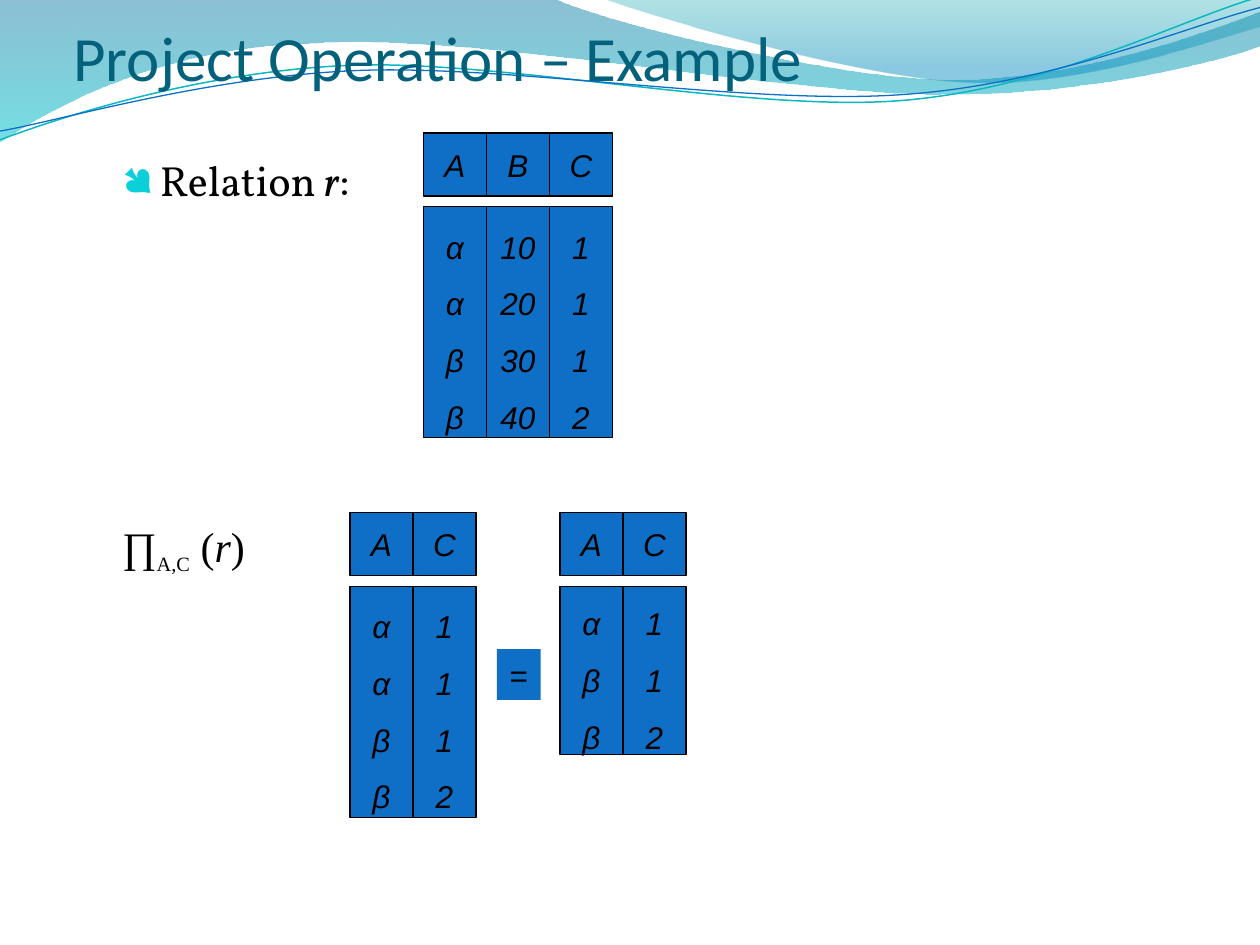
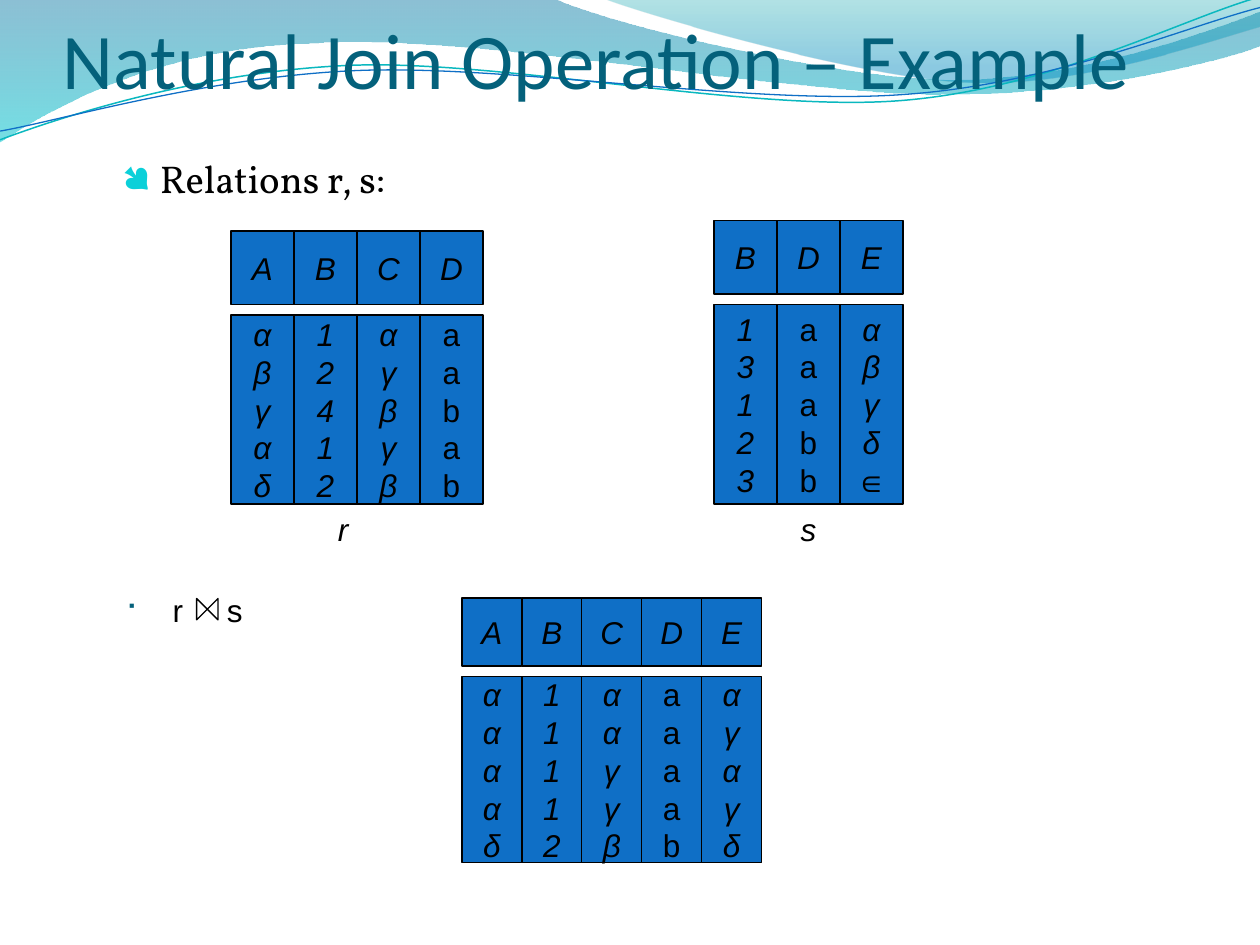
from pptx import Presentation
from pptx.dml.color import RGBColor
from pptx.enum.shapes import MSO_SHAPE as SHAPE
from pptx.enum.text import MSO_ANCHOR as ANCHOR, PP_ALIGN as ALIGN
from pptx.oxml import parse_xml
from pptx.oxml.ns import nsdecls, qn
from pptx.util import Pt

BLACK, BLUE, TEAL, AQUA, CYAN = "000000", "0F6FC6", "04617B", "0AB8BF", "0BD0D9"
GAP = 6  # between header cells and column cells
UPRIGHT = {"D"}  # columns not set in italics

# Relations: attribute -> values from top to bottom
RELATION = {"A": "α α β β", "B": "10 20 30 40", "C": "1 1 1 2"}
PROJECTED = {"A": "α α β β", "C": "1 1 1 2"}
DISTINCT = {"A": "α β β", "C": "1 1 2"}
R = {"A": "α β γ α δ", "B": "1 2 4 1 2", "C": "α γ β γ β", "D": "a a b a b"}
S = {"B": "1 3 1 2 3", "D": "a a a b b", "E": "α β γ δ ∈"}
JOINED = {"A": "α α α α δ", "B": "1 1 1 1 2", "C": "α α γ γ β",
          "D": "a a a a b", "E": "α γ α γ δ"}

# Slide content; relations: columns, left, top, column width, header and body height
PROJECT = {
    "title": ("Project Operation – Example", 36, (42, 12, 612, 42)),
    "intro": ([("Relation", {}), (" r", {"italic": True}), (":", {})], 24.1),
    "spacing": 1.5,
    "relations": [(RELATION, 242, 76, 36, 36, 132),
                  (PROJECTED, 200, 293, 36, 36, 132),
                  (DISTINCT, 320, 293, 36, 36, 96)],
}
JOIN = {
    "title": ("Natural Join Operation – Example", 45, (36, -30, 648, 90)),
    "intro": ([("Relations r, s:", {})], 22.1),
    "spacing": 1,
    "relations": [(R, 132, 132, 36, 42, 108),
                  (S, 408, 126, 36, 42, 114),
                  (JOINED, 264, 341.7, 34.25, 39, 106.3)],
}

# Header waves: start, then pairs for lines and sextuples for curves
BANDS = [
    ([(0, 0), (316.8, -0.7), (342.7, 12.2, 478.1, 45.4, 545.8, 45.4),
      (614.2, 45.4, 689.8, 18.7, 720, 6.5), (720.7, 25.9),
      (707.8, 31.7, 626.4, 54.7, 537.1, 54), (447.8, 54, 275, 20.2, 185, 24.5),
      (92.9, 25.9, 33.1, 59.8, -0.7, 81.4)],
     [(0, "0074A1", 45), (100, "00C6CF", 55)]),
    ([(344.9, -0.7), (366.5, 7.9, 491, 44.6, 553.7, 46.8),
      (616.3, 49.7, 691.9, 23, 720, 15.1), (720, 0)],
     [(0, "00A1A9", 30), (80, "008BBF", 45)]),
]
CURVES = [
    ([(0, 79.9), (34.6, 67, 113.8, 41, 199.4, 37.4),
      (284.4, 33.8, 427, 64.1, 513.4, 57.6),
      (599.8, 51.1, 675.4, 10.8, 718.6, -1.4)], AQUA, 0.85),
    ([(0, 74.9), (33.8, 69.1, 118.1, 43.9, 203.8, 40.3),
      (290.2, 36.7, 429.8, 60.5, 516.2, 54),
      (601.9, 48.2, 677.5, 15.1, 720, 4.3)], BLUE, 0.75),
]


def rgb(value):
    return RGBColor.from_string(value)


def set_font(font, name, size, color=BLACK, italic=False):
    font.name, font.size, font.italic = name, Pt(size), italic
    font.color.rgb = rgb(color)


def add_wave(s, steps, close):
    """Build the outline from its end points, then bend the curved segments."""
    ends = [(Pt(step[-2]), Pt(step[-1])) for step in steps]
    builder = s.shapes.build_freeform(*ends[0])
    builder.add_line_segments(ends[1:], close=close)
    sp = builder.convert_to_shape()
    sp.shadow.inherit = False
    segments = list(sp._element.iter(qn("a:lnTo")))
    for step, segment in zip(steps[1:], segments):
        if len(step) == 6:
            points = "".join(
                f'<a:pt x="{Pt(x) - sp.left}" y="{Pt(y) - sp.top}"/>'
                for x, y in zip(step[::2], step[1::2]))
            curve = parse_xml(f'<a:cubicBezTo {nsdecls("a")}>{points}</a:cubicBezTo>')
            segment.getparent().replace(segment, curve)
    return sp


def add_waves(s):
    """Draw the waves, then hand them to the layout that all slides share."""
    waves = []
    for steps, stops in BANDS:
        sp = add_wave(s, steps, True)
        sp.line.fill.background()
        gs = "".join(f'<a:gs pos="{pos * 1000}"><a:srgbClr val="{color}">'
                     f'<a:alpha val="{alpha * 1000}"/></a:srgbClr></a:gs>'
                     for pos, color, alpha in stops)
        grad = parse_xml(f'<a:gradFill {nsdecls("a")}><a:gsLst>{gs}</a:gsLst>'
                         '<a:lin ang="5400000" scaled="0"/></a:gradFill>')
        sp._element.spPr.find(qn("a:custGeom")).addnext(grad)
        waves.append(sp)
    for steps, color, width in CURVES:
        sp = add_wave(s, steps, False)
        sp.fill.background()
        sp.line.color.rgb, sp.line.width = rgb(color), Pt(width)
        waves.append(sp)
    tree = s.slide_layout.shapes._spTree
    for number, sp in enumerate(waves, 101):
        sp._element.nvSpPr.cNvPr.set("id", str(number))
        tree.append(sp._element)


def add_text(s, box, runs, name, size, color=BLACK):
    sp = s.shapes.add_textbox(*map(Pt, box))
    tf = sp.text_frame
    tf.word_wrap = True
    p = tf.paragraphs[0]
    set_font(p.font, name, size, color)
    for text, style in runs:
        r = p.add_run()
        r.text = text
        for key, value in style.items():
            setattr(r.font, key, value)
    return tf


def add_bullet(p, char, color, percent, indent):
    pPr = p._p.get_or_add_pPr()
    pPr.set("marL", str(Pt(indent)))
    pPr.set("indent", str(-Pt(indent)))
    parts = (f'<a:buClr {nsdecls("a")}><a:srgbClr val="{color}"/></a:buClr>',
             f'<a:buSzPct {nsdecls("a")} val="{percent * 1000}"/>',
             f'<a:buFont {nsdecls("a")} typeface="Wingdings" charset="2"/>',
             f'<a:buChar {nsdecls("a")} char="{char}"/>')
    for i, xml in enumerate(parts):
        pPr.insert(i, parse_xml(xml))


def center_lines(sp, lines, italic=True, spacing=1):
    tf = sp.text_frame
    tf.word_wrap, tf.vertical_anchor = False, ANCHOR.MIDDLE
    tf.text = "\n".join(lines)
    for p in tf.paragraphs:
        p.alignment, p.line_spacing = ALIGN.CENTER, float(spacing)
        set_font(p.font, "Arial", 18, italic=italic)


def add_cell(s, box, lines, italic=True, spacing=1, outline=True):
    sp = s.shapes.add_shape(SHAPE.RECTANGLE, *map(Pt, box))
    sp.shadow.inherit = False
    sp.fill.solid()
    sp.fill.fore_color.rgb = rgb(BLUE)
    if outline:
        sp.line.color.rgb, sp.line.width = rgb(BLACK), Pt(0.75)
    else:
        sp.line.fill.background()
    center_lines(sp, lines, italic, spacing)


def add_relation(s, spacing, columns, left, top, width, head, body):
    for i, (name, values) in enumerate(columns.items()):
        x = left + i * width
        add_cell(s, (x, top, width, head), [name])
        add_cell(s, (x, top + head + GAP, width, body), values.split(),
                 name not in UPRIGHT, spacing)


def fill_slide(s, content):
    title, size, box = content["title"]
    tf = add_text(s, box, [(title, {})], "Calibri", size, TEAL)
    tf.vertical_anchor = ANCHOR.BOTTOM
    tf.margin_left = tf.margin_right = tf.margin_bottom = 0
    runs, size = content["intro"]
    tf = add_text(s, (62.7, 84.8, 540, 32), runs, "Vollkorn", size)
    add_bullet(tf.paragraphs[0], "●", CYAN, 95, 21.6)
    for relation in content["relations"]:
        add_relation(s, content["spacing"], *relation)


def add_projection(s):
    """Formula and the equals sign between the two results."""
    tf = add_text(s, (62.7, 293.8, 554, 32.4),
                  [("∏", {}), ("A,C", {"size": Pt(20)}), (" (", {}),
                   ("r", {"italic": True}), (")", {})], "Times New Roman", 24)
    tf.paragraphs[0].runs[1].font._element.set("baseline", "-25000")
    add_cell(s, (284, 371, 25, 29), ["="], italic=False, outline=False)


def add_join(s):
    """Relation names and the join expression with its bow tie."""
    for name, left, width in (("r", 186, 20), ("s", 450, 24)):
        center_lines(s.shapes.add_textbox(Pt(left), Pt(288), Pt(width), Pt(29)), [name])
    tf = add_text(s, (64.6, 334, 554, 32.4),
                  [("r", {}), (" ", {}), ("s", {})], "Arial", 18)
    p = tf.paragraphs[0]
    add_bullet(p, "■", TEAL, 90, 27)
    p.runs[1].font._element.set("spc", "2000")  # room for the bow tie
    sp = s.shapes.add_shape(SHAPE.FLOWCHART_COLLATE, Pt(112.4), Pt(342), Pt(12.2), Pt(12.2))
    sp.rotation = 270
    sp.shadow.inherit = False
    sp.fill.background()
    sp.line.color.rgb, sp.line.width = rgb(BLACK), Pt(0.75)


def main():
    prs = Presentation()
    prs.slide_width, prs.slide_height = Pt(720), Pt(540)
    blank = prs.slide_layouts[6]
    project, join = (prs.slides.add_slide(blank) for _ in range(2))
    add_waves(project)
    fill_slide(project, PROJECT)
    add_projection(project)
    fill_slide(join, JOIN)
    add_join(join)
    prs.save("out.pptx")


if __name__ == "__main__":
    main()
